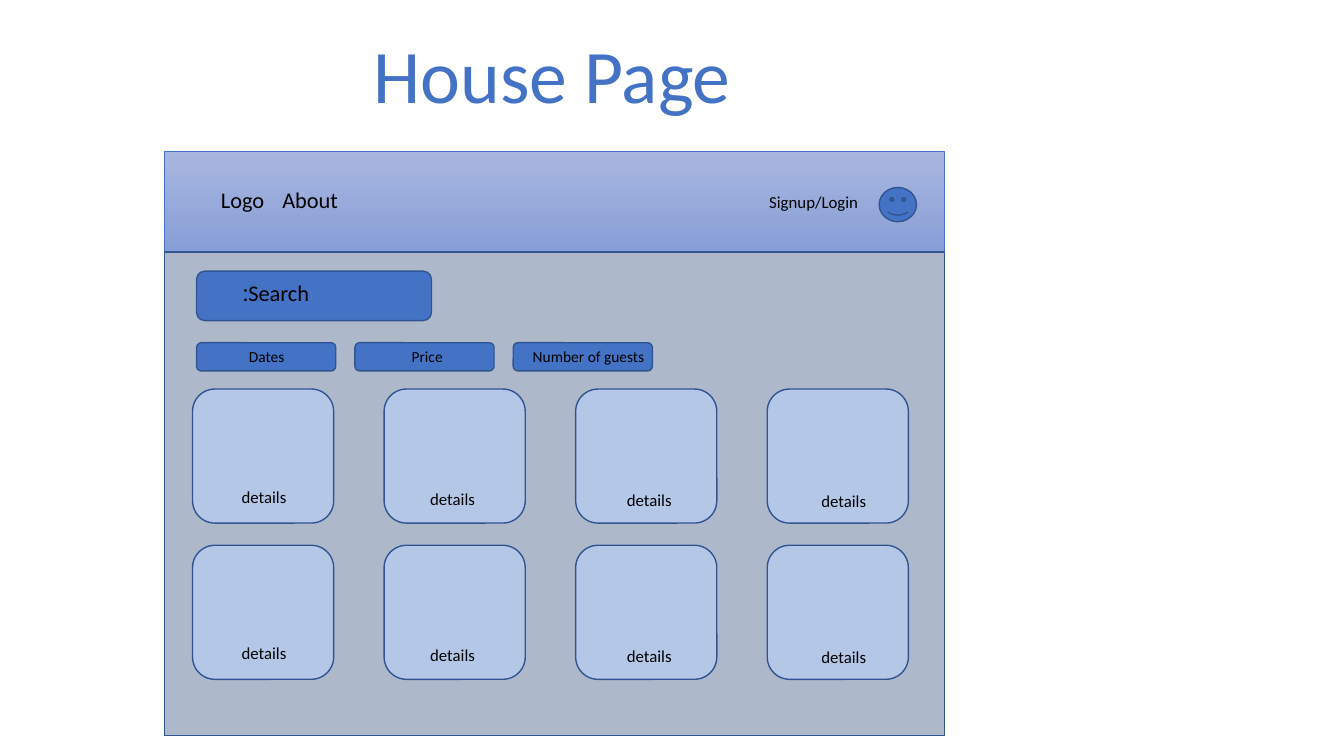
"""Build the House Page wireframe slide."""
from dataclasses import dataclass
from typing import Optional

import pptx
import pptx.dml.color
import pptx.enum.shapes
import pptx.enum.text
import pptx.slide
import pptx.util

Inches = pptx.util.Inches
Kind = pptx.enum.shapes.MSO_SHAPE
Align = pptx.enum.text.PP_ALIGN

COLORS = {
    "accent": "4472C4",
    "outline": "325491",
    "frame": "E7E6E6",
    "body": "ADB9CA",
    "card": "B4C7E7",
    "header_top": "A8B7DF",
    "header_bottom": "889ED7",
    "ink": "000000",
}


@dataclass
class Panel:
    left: float
    top: float
    width: float
    height: float
    fill: str
    kind: Kind = Kind.ROUNDED_RECTANGLE
    fill_end: Optional[str] = None
    line: str = "outline"
    line_width: float = 1


@dataclass
class Label:
    text: str
    left: float
    top: float
    width: float
    height: float
    size: float
    color: str = "ink"
    align: Optional[Align] = Align.RIGHT
    wrap: bool = True


def rgb(name: str) -> pptx.dml.color.RGBColor:
    return pptx.dml.color.RGBColor.from_string(COLORS[name])


def draw_panel(page: pptx.slide.Slide, panel: Panel) -> None:
    shape = page.shapes.add_shape(
        panel.kind, Inches(panel.left), Inches(panel.top),
        Inches(panel.width), Inches(panel.height))
    shape.shadow.inherit = False
    if panel.fill_end:
        shape.fill.gradient()
        shape.fill.gradient_angle = 270
        names = (panel.fill, panel.fill_end)
        for position, (stop, name) in enumerate(zip(shape.fill.gradient_stops, names)):
            stop.position = position
            stop.color.rgb = rgb(name)
    else:
        shape.fill.solid()
        shape.fill.fore_color.rgb = rgb(panel.fill)
    shape.line.color.rgb = rgb(panel.line)
    shape.line.width = pptx.util.Pt(panel.line_width)


def draw_label(page: pptx.slide.Slide, label: Label) -> None:
    box = page.shapes.add_textbox(
        Inches(label.left), Inches(label.top),
        Inches(label.width), Inches(label.height))
    frame = box.text_frame
    frame.word_wrap = label.wrap
    frame.auto_size = pptx.enum.text.MSO_AUTO_SIZE.SHAPE_TO_FIT_TEXT
    para = frame.paragraphs[0]
    para.alignment = label.align
    para._p.get_or_add_pPr().set("rtl", "1")
    span = para.add_run()
    span.text = label.text
    font_format = {"name": "Calibri", "size": pptx.util.Pt(label.size)}
    for attribute, value in font_format.items():
        setattr(span.font, attribute, value)
    span.font.color.rgb = rgb(label.color)


WINDOW = [
    Panel(1.63, 1.52, 7.73, 5.78, "frame", Kind.RECTANGLE),
    Panel(1.63, 1.5, 7.74, 1, "header_top", Kind.RECTANGLE,
          "header_bottom", "accent", 0.5),
    Panel(8.72, 1.86, 0.37, 0.34, "accent", Kind.SMILEY_FACE),
    Panel(1.63, 2.5, 7.74, 4.8, "body", Kind.RECTANGLE),
    Panel(1.95, 2.69, 2.33, 0.49, "accent"),
]
LABELS = [
    Label("House Page", 3.45, 0.23, 4.05, 1.01, 54, "accent", Align.CENTER, False),
    Label("Signup/Login", 6.36, 1.85, 2.25, 0.3, 12),
    Label("Logo", 1.95, 1.8, 0.77, 0.37, 16),
    Label("About", 2.53, 1.8, 0.92, 0.37, 16),
    Label("Search:", 2.31, 2.72, 1.5, 0.37, 16, align=None),
]
FILTERS = [("Dates", 2.19, 0.73), ("Price", 3.76, 0.73), ("Number of guests", 4.99, 1.5)]
FILTER_LEFT, FILTER_PITCH = 1.95, 1.57
CARD_LEFT, CARD_PITCH = 1.91, 1.9
CARD_TOPS = (3.86, 5.41)
DETAILS = [(1.88, 0.92), (3.75, 0.94), (5.7, 0.95), (7.63, 0.96)]


def main() -> None:
    deck = pptx.Presentation()
    deck.slide_width, deck.slide_height = Inches(13.33), Inches(7.5)
    page = deck.slides.add_slide(deck.slide_layouts[6])

    for panel in WINDOW:
        draw_panel(page, panel)
    for label in LABELS:
        draw_label(page, label)
    for column, (text, left, width) in enumerate(FILTERS):
        filter_left = FILTER_LEFT + column * FILTER_PITCH
        draw_panel(page, Panel(filter_left, 3.4, 1.38, 0.28, "accent"))
        draw_label(page, Label(text, left, 3.39, width, 0.29, 11))
    for top in CARD_TOPS:
        for column, (left, drop) in enumerate(DETAILS):
            card_left = CARD_LEFT + column * CARD_PITCH
            draw_panel(page, Panel(card_left, top, 1.4, 1.33, "card"))
            draw_label(page, Label("details", left, top + drop, 1.06, 0.3, 12))

    deck.save("out.pptx")


if __name__ == "__main__":
    main()
